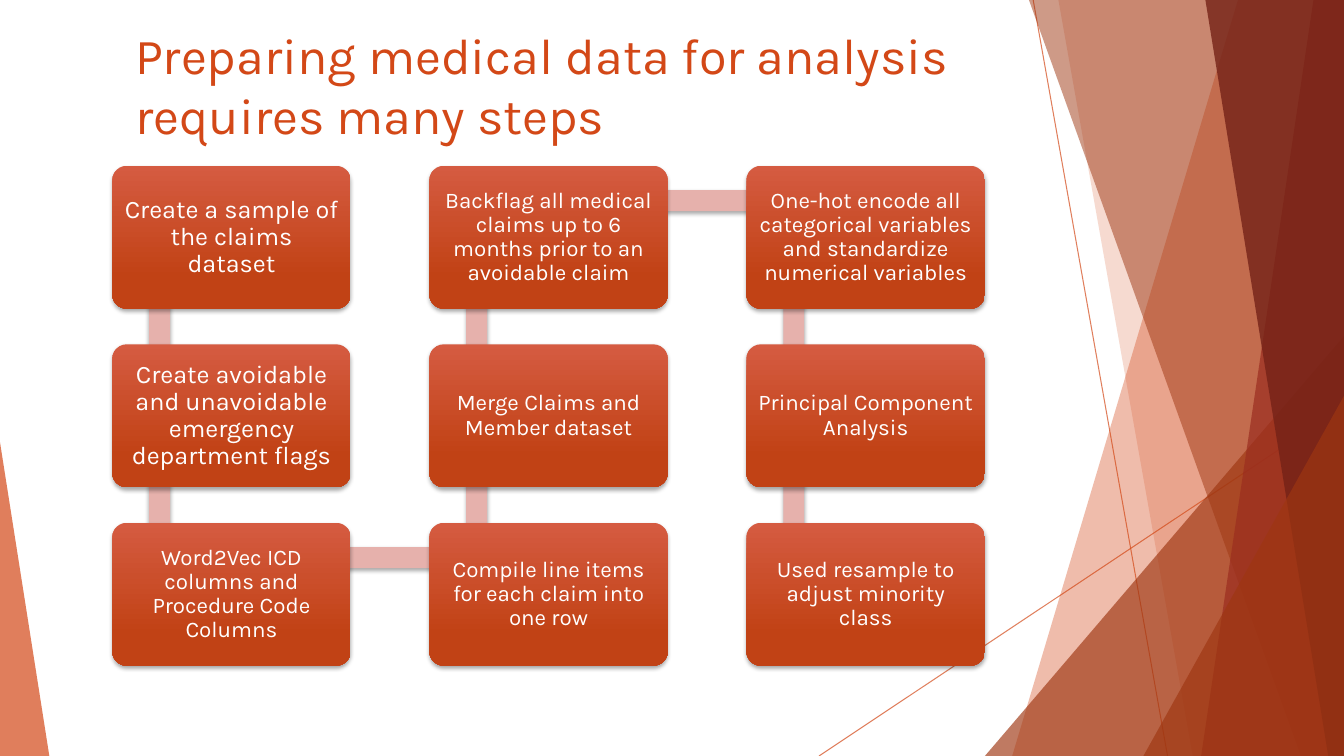
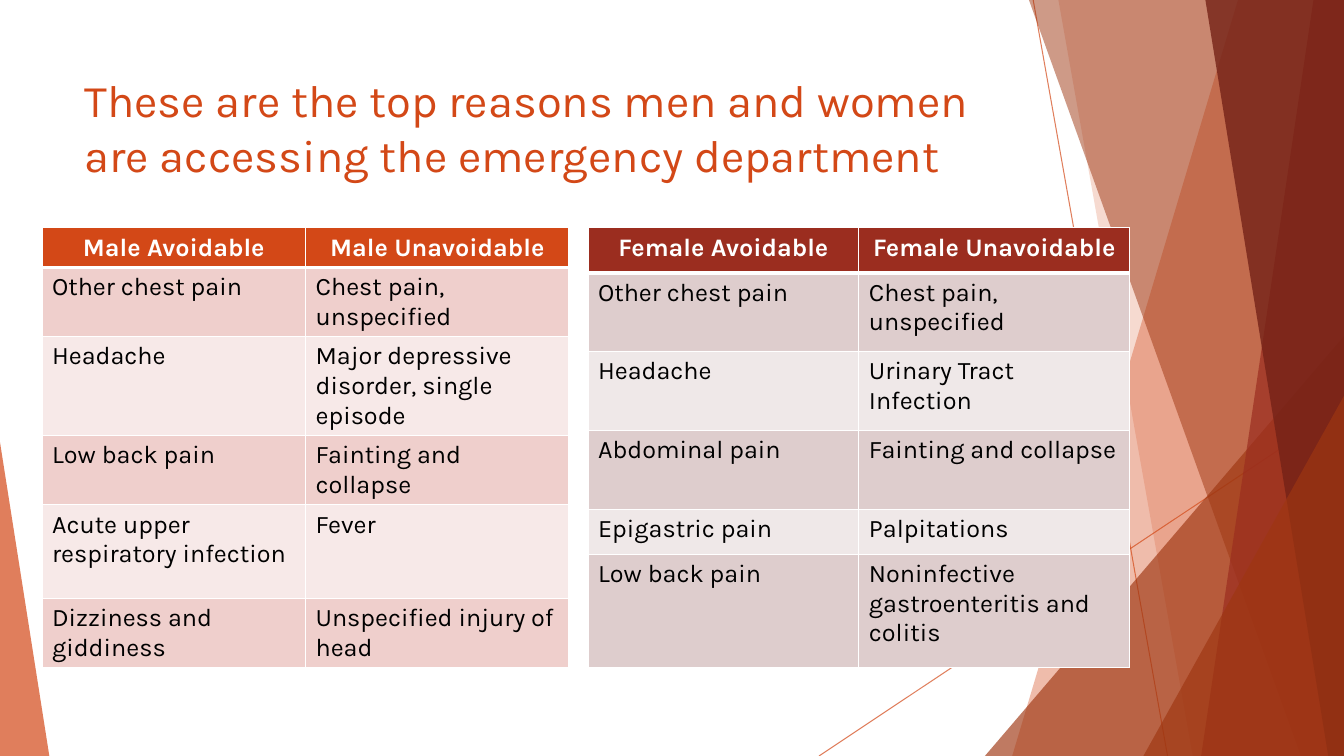
from dataclasses import dataclass

from lxml.etree import SubElement
from pptx import Presentation
from pptx.dml.color import RGBColor
from pptx.enum.shapes import MSO_CONNECTOR, MSO_SHAPE
from pptx.enum.text import MSO_ANCHOR, MSO_AUTO_SIZE, PP_ALIGN
from pptx.oxml.ns import qn
from pptx.util import Emu, Pt

EMU_PER_PX = 9525
SLIDE_W, SLIDE_H = 1280, 720
TITLE_ONLY = 5
STRAIGHT = MSO_CONNECTOR.STRAIGHT
RECT = MSO_SHAPE.RECTANGLE
ROUNDED = MSO_SHAPE.ROUNDED_RECTANGLE
TRIANGLE = MSO_SHAPE.ISOSCELES_TRIANGLE
TOP, MIDDLE = MSO_ANCHOR.TOP, MSO_ANCHOR.MIDDLE
LEFT, CENTER = PP_ALIGN.LEFT, PP_ALIGN.CENTER
NO_AUTOFIT = MSO_AUTO_SIZE.NONE


@dataclass(frozen=True)
class Theme:
    font: str = "Karla"
    orange: str = "D34817"
    rust: str = "9E3611"
    red: str = "9B2D1F"
    maroon: str = "742217"
    join: str = "E6B1AC"
    step_top: str = "D55B41"
    step_bottom: str = "C14215"
    white: str = "FFFFFF"
    black: str = "000000"
    male_bands: tuple = ("EFCFCC", "F7E9E8")
    female_bands: tuple = ("DECDCD", "EFE8E8")
    title_size: float = 36
    small_title_size: float = 32.4
    step_size: float = 18
    small_step_size: float = 16
    table_size: float = 18


THEME = Theme()

STEP_ROWS = 3
STEP_X, STEP_Y = 107, 158
STEP_W, STEP_H = 227, 136
STEP_DX, STEP_DY = 302, 170
JOIN_THICKNESS = 20
STEPS = [
    ("Create a sample of the claims dataset", THEME.step_size),
    ("Create avoidable and unavoidable emergency department flags", THEME.step_size),
    ("Word2Vec ICD columns and Procedure Code Columns", THEME.small_step_size),
    ("Compile line items for each claim into one row", THEME.small_step_size),
    ("Merge Claims and Member dataset", THEME.small_step_size),
    ("Backflag all medical claims up to 6 months prior to an avoidable claim",
     THEME.small_step_size),
    ("One-hot encode all categorical variables and standardize numerical variables",
     THEME.small_step_size),
    ("Principal Component Analysis", THEME.small_step_size),
    ("Used resample to adjust minority class", THEME.small_step_size),
]

MALE_REASONS = [
    ("Male Avoidable", "Male Unavoidable"),
    ("Other chest pain", "Chest pain, unspecified"),
    ("Headache", "Major depressive disorder, single episode"),
    ("Low back pain", "Fainting and collapse"),
    ("Acute upper respiratory infection", "Fever"),
    ("Dizziness and giddiness", "Unspecified injury of head"),
]
FEMALE_REASONS = [
    ("Female Avoidable", "Female Unavoidable"),
    ("Other chest pain", "Chest pain, unspecified"),
    ("Headache", "Urinary Tract Infection"),
    ("Abdominal pain", "Fainting and collapse"),
    ("Epigastric pain", "Palpitations"),
    ("Low back pain", "Noninfective gastroenteritis and colitis"),
]


def px(value):
    return Emu(value * EMU_PER_PX)


def box(*lengths):
    return [px(length) for length in lengths]


def rgb(color):
    return RGBColor.from_string(color)


def format_runs(p, size, color, align, bold=False):
    p.alignment = align
    for r in p.runs:
        r.font.name = THEME.font
        r.font.size = Pt(size)
        r.font.bold = bold
        r.font.color.rgb = rgb(color)


def set_opacity(sp, percent):
    for color in sp._element.spPr.iter(qn("a:srgbClr")):
        SubElement(color, qn("a:alpha"), val=str(percent * 1000))


def paint(sp, color, opacity=100):
    sp.shadow.inherit = False
    sp.fill.solid()
    sp.fill.fore_color.rgb = rgb(color)
    sp.line.fill.background()
    if opacity < 100:
        set_opacity(sp, opacity)


def add_soft_shadow(sp):
    sp.shadow.inherit = False
    effects = sp._element.spPr.find(qn("a:effectLst"))
    shadow = SubElement(effects, qn("a:outerShdw"), blurRad=str(Pt(3)),
                        dist=str(Pt(2)), dir="5400000", rotWithShape="0")
    color = SubElement(shadow, qn("a:srgbClr"), val=THEME.black)
    SubElement(color, qn("a:alpha"), val="35000")


def add_thin_line(shapes, x1, y1, x2, y2):
    line = shapes.add_connector(STRAIGHT, *box(x1, y1, x2, y2))
    line.line.width = Pt(0.75)
    line.line.color.rgb = rgb(THEME.orange)
    set_opacity(line, 70)
    SubElement(line._element.spPr, qn("a:effectLst"))


def add_shard(shapes, top_x, bottom_x, color, opacity):
    builder = shapes.build_freeform(top_x, 0, scale=EMU_PER_PX)
    builder.add_line_segments(
        [(SLIDE_W, 0), (SLIDE_W, SLIDE_H), (bottom_x, SLIDE_H)], close=True)
    paint(builder.convert_to_shape(), color, opacity)


def add_corner(shapes, x, width, height, apex, color, opacity):
    sp = shapes.add_shape(TRIANGLE, *box(x, SLIDE_H - height, width, height))
    sp.adjustments[0] = apex
    paint(sp, color, opacity)


def add_backdrop(slide):
    group = slide.shapes.add_group_shape()
    shapes = group.shapes
    add_thin_line(shapes, 984, 0, 1112, SLIDE_H)
    add_thin_line(shapes, SLIDE_W, 387, 780, SLIDE_H)
    add_shard(shapes, 1179, 964, THEME.orange, 36)
    add_shard(shapes, 1008, 1136, THEME.orange, 20)
    add_corner(shapes, 938, 342, 400, 1, THEME.rust, 66)
    add_shard(shapes, 980, 1239, THEME.rust, 50)
    add_shard(shapes, 1251, 1144, THEME.red, 70)
    add_shard(shapes, 1148, 1265, THEME.maroon, 80)
    add_corner(shapes, 1089, 191, 343, 1, THEME.rust, 66)
    add_corner(shapes, 0, 47, 299, 0, THEME.orange, 70)
    for number, props in enumerate(group._element.iter(qn("p:cNvPr")), 100):
        props.set("id", str(number))
    slide.slide_layout.shapes._spTree.insert(2, group._element)


def add_titled_slide(prs, text, left, top, size):
    slide = prs.slides.add_slide(prs.slide_layouts[TITLE_ONLY])
    title = slide.shapes.title
    title.left, title.top, title.width, title.height = box(left, top, 902, 138)
    tf = title.text_frame
    tf.text = text
    tf.word_wrap = True
    tf.auto_size = NO_AUTOFIT
    tf.vertical_anchor = TOP
    format_runs(tf.paragraphs[0], size, THEME.orange, LEFT)
    return slide


def step_cell(index):
    col, place = divmod(index, STEP_ROWS)
    return col, place if col % 2 == 0 else STEP_ROWS - 1 - place


def step_origin(col, row):
    return STEP_X + col * STEP_DX, STEP_Y + row * STEP_DY


def add_join(shapes, start, end):
    x, y = step_origin(start[0], min(start[1], end[1]))
    if start[0] == end[0]:
        frame = x + 35, y + 34, JOIN_THICKNESS, STEP_DY
    else:
        frame = x + 46, y + 23, STEP_DX, JOIN_THICKNESS
    sp = shapes.add_shape(RECT, *box(*frame))
    paint(sp, THEME.join)
    add_soft_shadow(sp)


def add_step(shapes, cell, text, size):
    sp = shapes.add_shape(ROUNDED, *box(*step_origin(*cell), STEP_W, STEP_H))
    sp.adjustments[0] = 0.1
    sp.fill.gradient()
    sp.fill.gradient_angle = 270
    stops = zip(sp.fill.gradient_stops, (0, 0.78), (THEME.step_top, THEME.step_bottom))
    for stop, position, color in stops:
        stop.position = position
        stop.color.rgb = rgb(color)
    sp.line.fill.background()
    add_soft_shadow(sp)
    tf = sp.text_frame
    tf.text = text
    tf.word_wrap = True
    tf.vertical_anchor = MIDDLE
    tf.margin_left = tf.margin_right = tf.margin_top = tf.margin_bottom = px(7)
    p = tf.paragraphs[0]
    p.line_spacing = 0.9
    format_runs(p, size, THEME.white, CENTER)


def add_step_flow(shapes):
    cells = [step_cell(index) for index in range(len(STEPS))]
    for start, end in zip(cells, cells[1:]):
        add_join(shapes, start, end)
    for cell, (text, size) in zip(cells, STEPS):
        add_step(shapes, cell, text, size)


def set_borders(cell, top, bottom):
    props = cell._tc.get_or_add_tcPr()
    for side, width in (("L", 1), ("R", 1), ("T", top), ("B", bottom)):
        line = SubElement(props, qn(f"a:ln{side}"), w=str(Pt(width)))
        fill = SubElement(line, qn("a:solidFill"))
        SubElement(fill, qn("a:srgbClr"), val=THEME.white)


def add_reason_table(shapes, rows, left, col_width, heights, header, bands):
    frame = shapes.add_table(
        len(rows), 2, *box(left, 217, 2 * col_width, sum(heights)))
    table = frame.table
    for column in table.columns:
        column.width = px(col_width)
    for i, (texts, height) in enumerate(zip(rows, heights)):
        table.rows[i].height = px(height)
        is_header = i == 0
        for j, text in enumerate(texts):
            cell = table.cell(i, j)
            set_borders(cell, 3 if i == 1 else 1, 3 if is_header else 1)
            cell.fill.solid()
            cell.fill.fore_color.rgb = rgb(header if is_header else bands[(i - 1) % 2])
            cell.text_frame.text = text
            format_runs(cell.text_frame.paragraphs[0], THEME.table_size,
                        THEME.white if is_header else THEME.black,
                        CENTER if is_header else LEFT, is_header)


def main():
    prs = Presentation()
    prs.slide_width, prs.slide_height = box(SLIDE_W, SLIDE_H)

    steps = add_titled_slide(
        prs, "Preparing medical data for analysis requires many steps",
        119, 18, THEME.title_size)
    add_backdrop(steps)
    add_step_flow(steps.shapes)

    reasons = add_titled_slide(
        prs, "These are the top reasons men and women are accessing the emergency department",
        71, 64, THEME.small_title_size)
    add_reason_table(reasons.shapes, MALE_REASONS, 40, 251,
                     (36, 62, 89, 62, 89, 62), THEME.orange, THEME.male_bands)
    add_reason_table(reasons.shapes, FEMALE_REASONS, 560, 258,
                     (43, 75, 75, 75, 43, 108), THEME.red, THEME.female_bands)
    prs.save("out.pptx")


if __name__ == "__main__":
    main()
